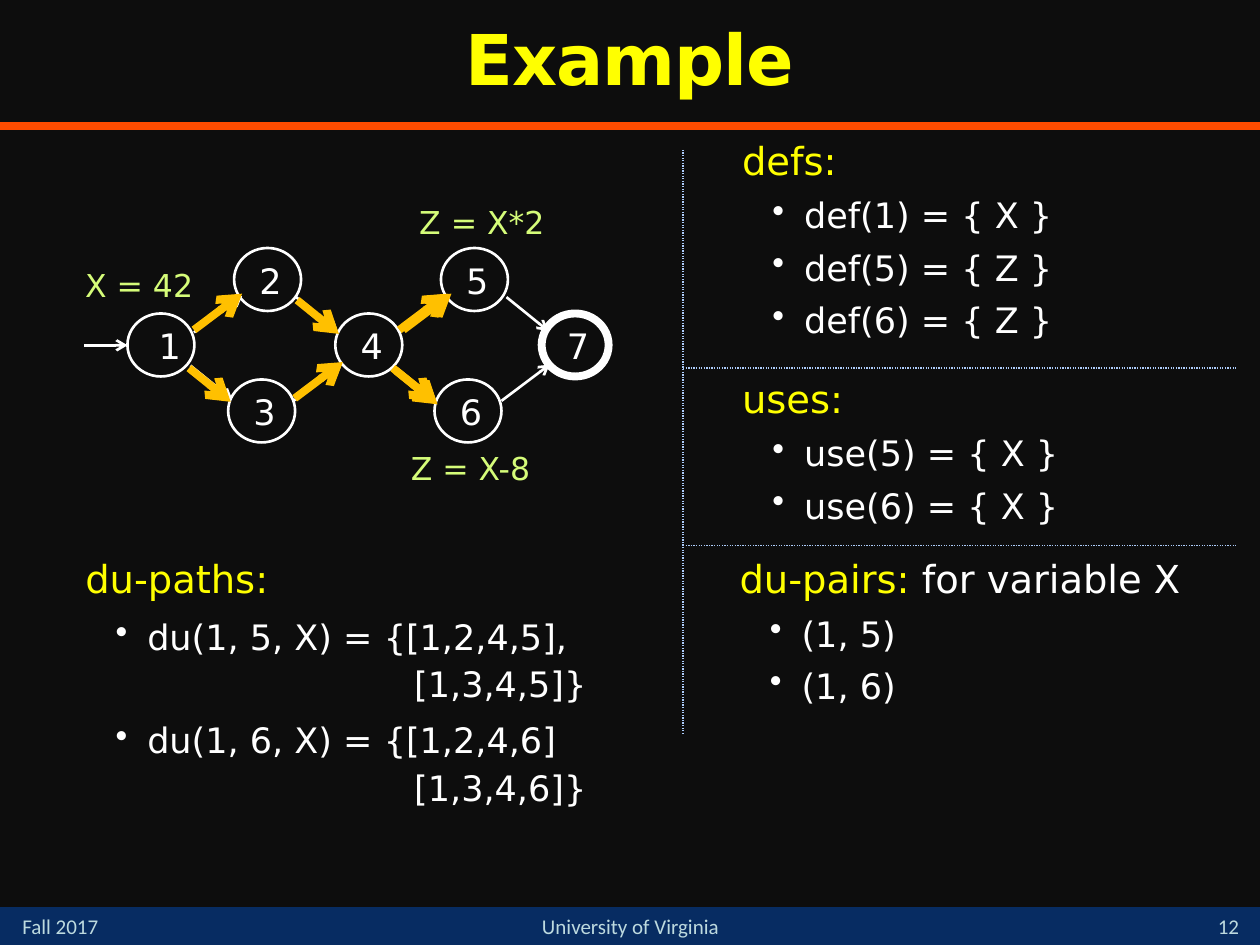
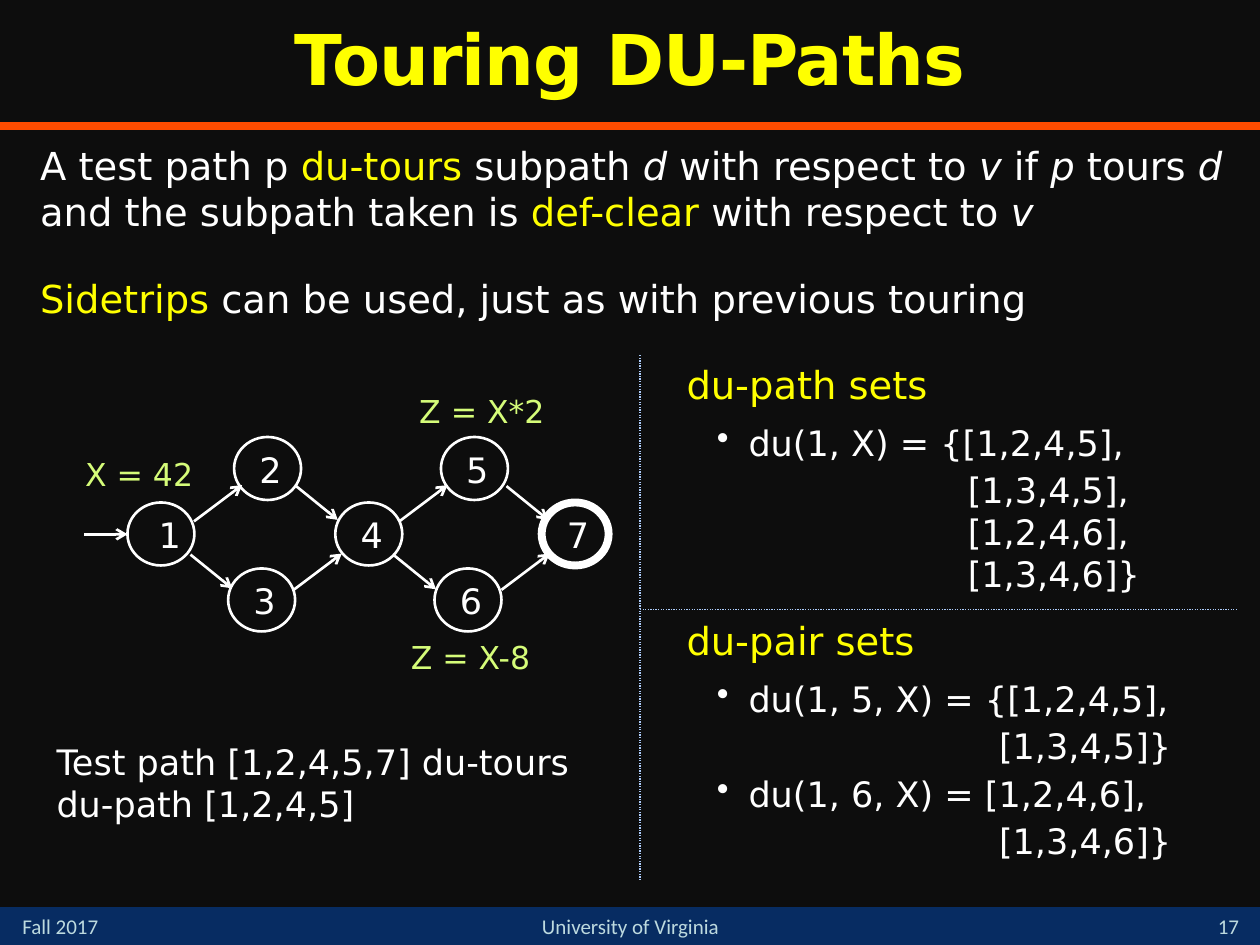
from dataclasses import dataclass
from typing import NamedTuple

from lxml.etree import SubElement
from pptx import Presentation
from pptx.dml.color import RGBColor
from pptx.enum.dml import MSO_LINE as Dash
from pptx.enum.shapes import MSO_CONNECTOR as Wire, MSO_SHAPE as Form
from pptx.enum.text import MSO_ANCHOR as Anchor, MSO_AUTO_SIZE as Fit, PP_ALIGN as Align
from pptx.oxml.ns import qn
from pptx.util import Cm, Pt

HUES = {
    "back": "0D0D0D", "band": "072C62", "rule": "FF4C00", "foot": "BDDADF",
    "key": "FFFF00", "text": "FFFFFF", "note": "D5FC79", "dots": "ACCBF9",
    "path": "FFC000",
}
SANS, SMALL = "DejaVu Sans", "Calibri"
WIDE, HIGH = 25.4, 19.05


class Box(NamedTuple):
    x: float
    y: float
    w: float
    h: float


class Span(NamedTuple):
    text: str
    hue: str = "text"
    slant: bool = False


@dataclass
class Line:
    spans: list[Span]
    size: float = 20
    left: float = 0.05
    hang: float = 0
    before: float = 0
    bullet: bool = False


@dataclass
class Node:
    name: str
    x: float
    y: float
    shift: float = 0.26
    align: Align = Align.LEFT
    weight: float = 1.5


@dataclass
class Note:
    text: str
    box: Box


# Kinds of text line
def head(*spans: Span, size: float = 22) -> Line:
    return Line(list(spans), size, before=20)


def item(text: str, before: float = 3) -> Line:
    return Line([Span(text)], left=1.3, hang=-0.64, before=before, bullet=True)


def more(text: str, left: float) -> Line:
    return Line([Span(text)], left=left)


# Flow graph: nodes, notes and the starts of rising and falling edges
NODES = [
    Node("1", 2.57, 6.32, 0.38, Align.RIGHT),
    Node("2", 4.72, 5.0),
    Node("3", 4.6, 7.65),
    Node("4", 6.76, 6.32, align=Align.RIGHT),
    Node("5", 8.89, 5.0),
    Node("6", 8.76, 7.65),
    Node("7", 10.92, 6.32, weight=4.5),
]
NOTES = [
    Note("X = 42", Box(1.27, 5.23, 3.07, 1.02)),
    Note("Z = X-8", Box(7.82, 8.92, 3.33, 1.02)),
    Note("Z = X*2", Box(8.05, 3.96, 3.33, 1.02)),
]
RISE, FALL = (0.97, -0.73), (0.84, 0.68)
EDGES = {
    RISE: [(3.91, 6.7), (8.05, 6.7), (5.92, 8.08), (10.11, 8.08)],
    FALL: [(3.84, 7.37), (5.97, 5.99), (7.95, 7.39), (10.21, 5.99)],
}
MARKED = {
    RISE: [(3.91, 6.65), (8.13, 6.65), (5.94, 8.03), (8.05, 6.65)],
    FALL: [(5.99, 6.05), (3.81, 7.42), (7.92, 7.42), (7.98, 7.47)],
}


def tint(name: str) -> RGBColor:
    return RGBColor.from_string(HUES[name])


def style(run, size: float, hue: str, face: str = SANS) -> None:
    run.font.size, run.font.name = Pt(size), face
    run.font.color.rgb = tint(hue)


def frame(slide, box: Box):
    text = slide.shapes.add_textbox(*map(Cm, box)).text_frame
    text.word_wrap = True
    return text


def label(slide, text: str, box: Box, size: float, hue: str,
          align: Align = Align.LEFT, face: str = SANS):
    body = frame(slide, box)
    body.text = text
    para = body.paragraphs[0]
    para.alignment = align
    style(para.runs[0], size, hue, face)
    return body


def write(slide, box: Box, lines: list[Line]) -> None:
    body = frame(slide, box)
    for num, line in enumerate(lines):
        para = body.add_paragraph() if num else body.paragraphs[0]
        para.text = line.spans[0].text
        for span in line.spans[1:]:
            para.add_run().text = span.text
        for run, span in zip(para.runs, line.spans):
            style(run, line.size, span.hue)
            run.font.italic = span.slant
        para.space_before, para.space_after = Pt(line.before), Pt(3)
        props = para._p.get_or_add_pPr()
        props.set("marL", str(Cm(line.left)))
        props.set("indent", str(Cm(line.hang)))
        if line.bullet:
            tone = SubElement(props, qn("a:buClr"))
            SubElement(tone, qn("a:srgbClr")).set("val", HUES["text"])
            SubElement(props, qn("a:buChar")).set("char", "•")


def stroke(slide, start: tuple, end: tuple, hue: str, weight: float,
           arrow: bool = False, dash: Dash | None = None) -> None:
    wire = slide.shapes.add_connector(Wire.STRAIGHT, *map(Cm, (*start, *end)))
    wire.line.color.rgb = tint(hue)
    wire.line.width = Pt(weight)
    if dash:
        wire.line.dash_style = dash
    props = wire._element.spPr
    if arrow:
        SubElement(props.find(qn("a:ln")), qn("a:tailEnd")).set("type", "arrow")
    SubElement(props, qn("a:effectLst"))


def dotted(slide, start: tuple, end: tuple) -> None:
    stroke(slide, start, end, "dots", 0.75, dash=Dash.ROUND_DOT)


def arrows(slide, edges: dict, hue: str, weight: float, drop: float = 0) -> None:
    for (dx, dy), starts in edges.items():
        for x, y in starts:
            stroke(slide, (x, y + drop), (x + dx, y + dy + drop), hue, weight, True)


def graph(slide, drop: float = 0) -> None:
    for node in NODES:
        y = node.y + drop
        ring = slide.shapes.add_shape(
            Form.OVAL, Cm(node.x), Cm(y), Cm(1.35), Cm(1.27))
        ring.shadow.inherit = False
        ring.fill.background()
        ring.line.color.rgb = tint("text")
        ring.line.width = Pt(node.weight)
        body = label(slide, node.name, Box(node.x + node.shift, y + 0.1, 0.84, 1.09),
                     20, "text", node.align)
        body.word_wrap = False
        body.auto_size = Fit.SHAPE_TO_FIT_TEXT
    stroke(slide, (1.7, 6.96 + drop), (2.57, 6.96 + drop), "text", 1.5, True)
    arrows(slide, EDGES, "text", 1.5, drop)
    for note in NOTES:
        label(slide, note.text, note.box._replace(y=note.box.y + drop),
              18, "note", Align.CENTER)


# Shared background, title, rule and footer
def base(deck, title: str, page: str):
    slide = deck.slides.add_slide(deck.slide_layouts[6])
    slide.background.fill.solid()
    slide.background.fill.fore_color.rgb = tint("back")
    band = slide.shapes.add_shape(
        Form.RECTANGLE, Cm(0), Cm(18.29), Cm(WIDE), Cm(0.76))
    band.shadow.inherit = False
    band.fill.solid()
    band.fill.fore_color.rgb = tint("band")
    band.line.fill.background()
    stroke(slide, (0, 2.54), (WIDE, 2.54), "rule", 4.5)
    label(slide, "Fall 2017", Box(0.2, 18.29, 2.97, 0.76), 12, "foot", face=SMALL)
    number = label(slide, page, Box(24.13, 18.21, 1.27, 0.84), 12, "foot",
                   Align.CENTER, SMALL)
    number.vertical_anchor = Anchor.BOTTOM
    label(slide, "University of Virginia", Box(9.32, 18.29, 6.78, 0.76), 12, "foot",
          Align.CENTER, SMALL)
    top = label(slide, title, Box(0, 0, WIDE, 2.54), 40, "key", Align.CENTER)
    top.vertical_anchor = Anchor.MIDDLE
    para = top.paragraphs[0]
    para.line_spacing = 0.9
    para.runs[0].font.bold = True
    para.runs[0]._r.get_or_add_rPr().set("spc", "-50")
    return slide


def example(deck) -> None:
    slide = base(deck, "Example", "12")
    graph(slide)
    # Definitions, uses and pairs
    write(slide, Box(14.66, 2.64, 8.69, 4.9), [
        head(Span("defs:", "key")),
        item("def(1) = { X }"), item("def(5) = { Z }"), item("def(6) = { Z }")])
    write(slide, Box(14.66, 7.44, 8.97, 3.81), [
        head(Span("uses:", "key")),
        item("use(5) = { X }"), item("use(6) = { X }")])
    write(slide, Box(14.61, 11.07, 10.8, 4.06), [
        head(Span("du-pairs: ", "key"), Span("for variable X")),
        item("(1, 5)"), item("(1, 6)")])
    # Dividers
    dotted(slide, (13.77, 3.02), (13.77, 14.81))
    for y in (7.42, 11.0):
        dotted(slide, (13.77, y), (24.94, y))
    # Paths, marked on the graph
    write(slide, Box(1.42, 11.07, 12.55, 7.34), [
        head(Span("du-paths:", "key")),
        item("du(1, 5, X) = {[1,2,4,5],", 5), more("[1,3,4,5]}", 6.68),
        item("du(1, 6, X) = {[1,2,4,6]", 5), more("[1,3,4,6]}", 6.68)])
    arrows(slide, MARKED, "path", 4.5)


def touring(deck) -> None:
    slide = base(deck, "Touring DU-Paths", "17")
    # Definition
    write(slide, Box(0.51, 2.74, 24.56, 4.17), [
        head(Span("A test path p "), Span("du-tours ", "key"), Span("subpath "),
             Span("d", slant=True), Span(" with respect to "),
             Span("v", slant=True), Span(" if "), Span("p", slant=True),
             Span(" tours "), Span("d", slant=True),
             Span(" and the subpath taken is "), Span("def-clear", "key"),
             Span(" with respect to "), Span("v", slant=True)),
        head(Span("Sidetrips ", "key"),
             Span("can be used, just as with previous touring"))])
    graph(slide, 3.81)
    # Path and pair sets
    write(slide, Box(13.54, 7.16, 10.8, 5.21), [
        head(Span("du-path sets", "key")),
        item("du(1, X) = {[1,2,4,5],", 5),
        more("[1,3,4,5], [1,2,4,6], [1,3,4,6]}", 5.72)])
    dotted(slide, (12.9, 7.16), (12.9, 17.73))
    dotted(slide, (12.9, 12.29), (24.94, 12.29))
    write(slide, Box(13.54, 12.32, 11.4, 5.21), [
        head(Span("du-pair sets", "key")),
        item("du(1, 5, X) = {[1,2,4,5],", 5), more("[1,3,4,5]}", 6.35),
        item("du(1, 6, X) = [1,2,4,6],", 0), more("[1,3,4,6]}", 6.35)])
    # Conclusion
    write(slide, Box(0.84, 14.81, 11.86, 2.54), [
        head(Span("Test path [1,2,4,5,7] du-tours du-path [1,2,4,5]"), size=20)])


def main() -> None:
    deck = Presentation()
    deck.slide_width, deck.slide_height = Cm(WIDE), Cm(HIGH)
    example(deck)
    touring(deck)
    deck.save("out.pptx")


if __name__ == "__main__":
    main()
